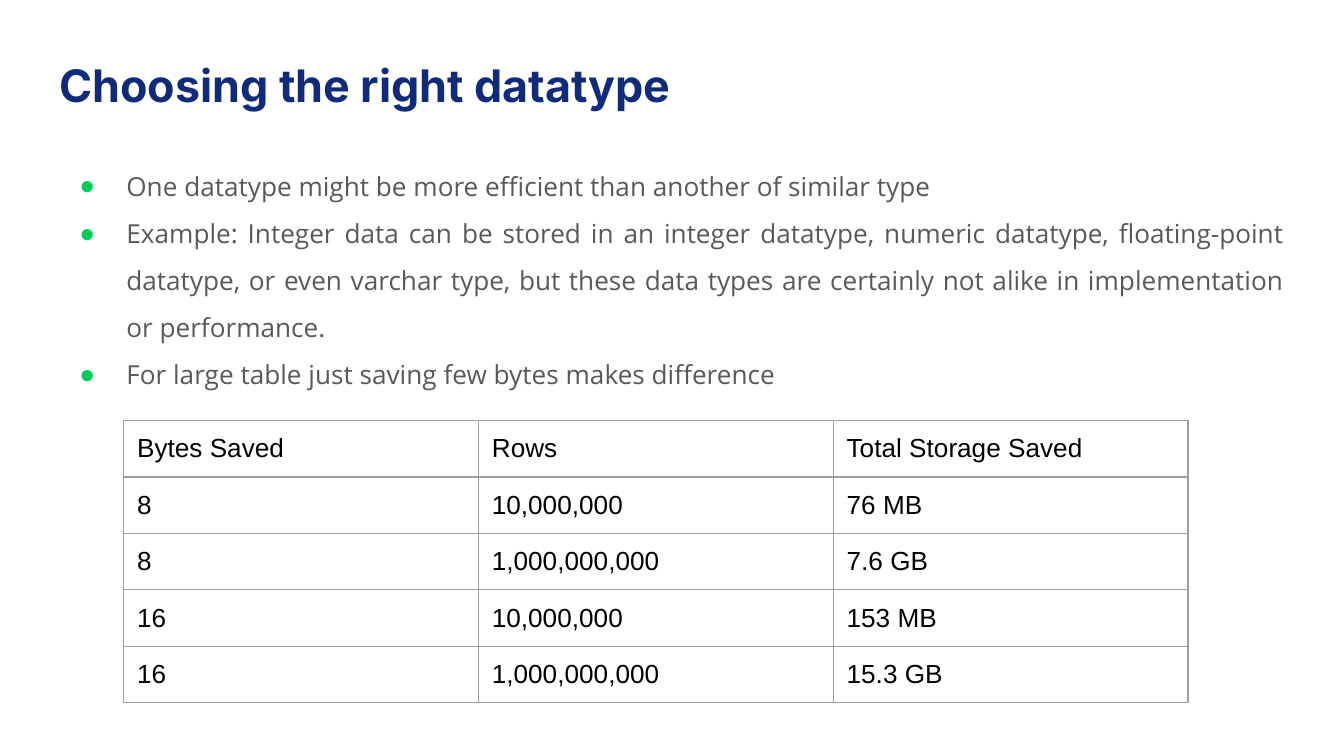
from dataclasses import dataclass
from typing import NamedTuple

from lxml.etree import SubElement
from pptx import Presentation
from pptx.dml.color import RGBColor
from pptx.enum.text import MSO_ANCHOR, MSO_AUTO_SIZE, PP_ALIGN
from pptx.oxml.ns import qn
from pptx.util import Inches, Pt


@dataclass(frozen=True)
class Theme:
    title_font: str = "Inter"
    body_font: str = "Open Sans"
    table_font: str = "Arial"
    bullet_font: str = "Arial"
    title_size: int = 24
    text_size: int = 14
    navy: str = "102B7B"
    grey: str = "595959"
    green: str = "00CB5B"
    black: str = "000000"
    border: str = "9E9E9E"
    border_width: float = 0.75
    inset: float = 0.1


class Box(NamedTuple):
    left: float
    top: float
    width: float
    height: float


class Saving(NamedTuple):
    bytes_saved: str
    rows: str
    total: str


THEME = Theme()
POINTS = [
    "One datatype might be more efficient than another of similar type",
    "Example: Integer data can be stored in an integer datatype, numeric datatype, "
    "floating-point datatype, or even varchar type, but these data types are certainly "
    "not alike in implementation or performance.",
    "For large table just saving few bytes makes difference",
]
SAVINGS = [
    Saving("Bytes Saved", "Rows", "Total Storage Saved"),
    Saving("8", "10,000,000", "76 MB"),
    Saving("8", "1,000,000,000", "7.6 GB"),
    Saving("16", "10,000,000", "153 MB"),
    Saving("16", "1,000,000,000", "15.3 GB"),
]
COLUMN_WIDTH, ROW_HEIGHT = 2.64, 0.42


def style_runs(paragraph, font: str, size: int, color: str, bold: bool = False) -> None:
    for run in paragraph.runs:
        run.font.name = font
        run.font.size = Pt(size)
        run.font.bold = bold
        run.font.color.rgb = RGBColor.from_string(color)


def set_insets(target) -> None:
    """Apply the common inset to a text frame or a table cell."""
    target.margin_left = target.margin_right = Inches(THEME.inset)
    target.margin_top = target.margin_bottom = Inches(THEME.inset)


def place(placeholder, box: Box, text: str):
    placeholder.left, placeholder.top, placeholder.width, placeholder.height = map(Inches, box)
    frame = placeholder.text_frame
    frame.text = text
    frame.word_wrap = True
    frame.auto_size = MSO_AUTO_SIZE.NONE
    frame.vertical_anchor = MSO_ANCHOR.TOP
    set_insets(frame)
    return frame


def add_bullet(paragraph, indent: float = 0.5, hanging: float = 0.35) -> None:
    properties = paragraph._p.get_or_add_pPr()
    properties.set("marL", str(Inches(indent)))
    properties.set("indent", str(-Inches(hanging)))
    color = SubElement(properties, qn("a:buClr"))
    SubElement(color, qn("a:srgbClr"), val=THEME.green)
    SubElement(properties, qn("a:buFont"), typeface=THEME.bullet_font)
    SubElement(properties, qn("a:buChar"), char="●")


def add_borders(cell) -> None:
    properties = cell._tc.get_or_add_tcPr()
    for side in ("a:lnL", "a:lnR", "a:lnT", "a:lnB"):
        line = SubElement(properties, qn(side), w=str(Pt(THEME.border_width)))
        fill = SubElement(line, qn("a:solidFill"))
        SubElement(fill, qn("a:srgbClr"), val=THEME.border)


def add_savings_table(slide, left: float, top: float, savings: list[Saving]) -> None:
    column_count = len(Saving._fields)
    table = slide.shapes.add_table(
        len(savings), column_count, Inches(left), Inches(top),
        Inches(column_count * COLUMN_WIDTH), Inches(len(savings) * ROW_HEIGHT),
    ).table
    table.first_row = table.horz_banding = False
    for column in table.columns:
        column.width = Inches(COLUMN_WIDTH)
    for row, saving in zip(table.rows, savings):
        row.height = Inches(ROW_HEIGHT)
        for cell, value in zip(row.cells, saving):
            cell.text = value
            set_insets(cell)
            add_borders(cell)
            cell.fill.background()
            style_runs(cell.text_frame.paragraphs[0],
                       THEME.table_font, THEME.text_size, THEME.black)


# Widescreen slide, 16:9
presentation = Presentation()
presentation.slide_width = Inches(10)
presentation.slide_height = Inches(10 * 9 / 16)
slide = presentation.slides.add_slide(presentation.slide_layouts[1])

# Title
heading = place(slide.shapes.title, Box(0.34, 0.33, 9.27, 0.66), "Choosing the right datatype")
heading.paragraphs[0].alignment = PP_ALIGN.LEFT
style_runs(heading.paragraphs[0], THEME.title_font, THEME.title_size, THEME.navy, bold=True)

# Bullet points
points = place(slide.placeholders[1], Box(0.34, 1.05, 9.32, 4.11), "\n".join(POINTS))
for point in points.paragraphs:
    point.alignment = PP_ALIGN.JUSTIFY
    point.line_spacing = 1.5
    point.space_before = point.space_after = Pt(0)
    add_bullet(point)
    style_runs(point, THEME.body_font, THEME.text_size, THEME.grey)

# Storage savings table
add_savings_table(slide, 0.92, 3.13, SAVINGS)

presentation.save("out.pptx")
